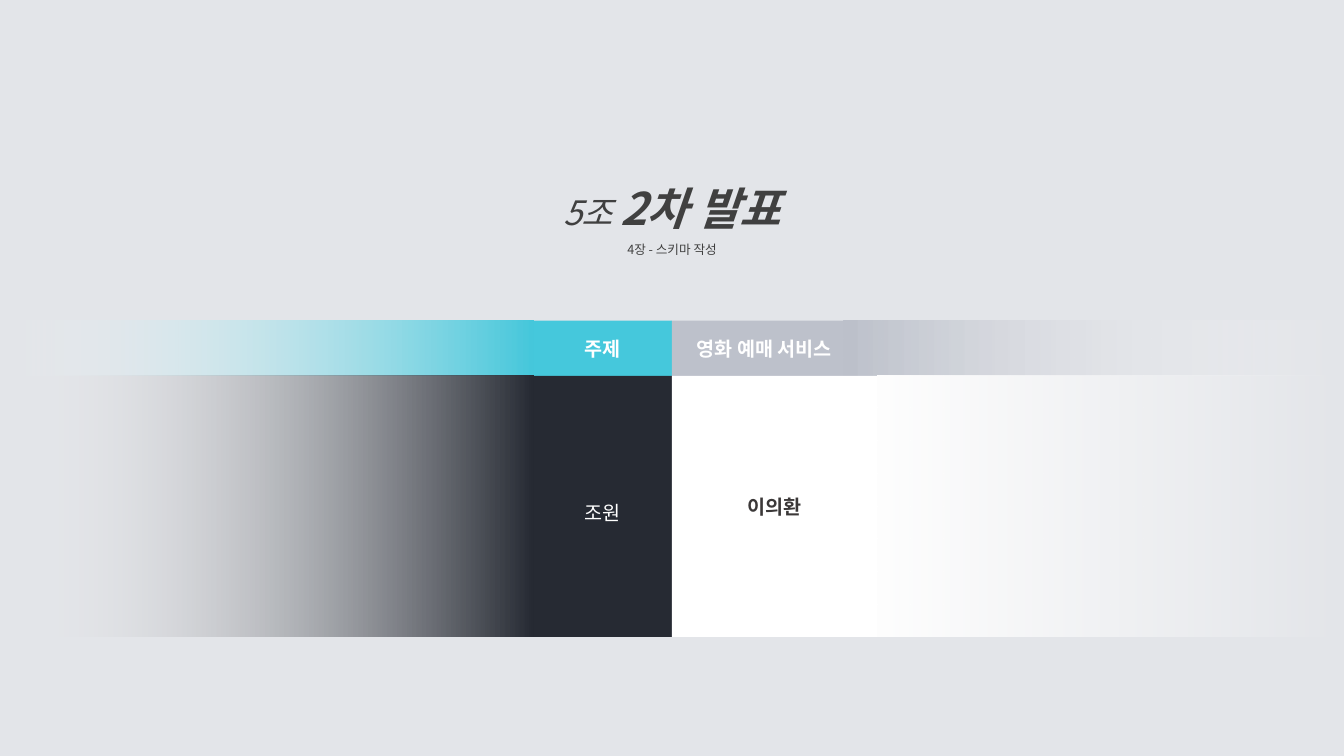
from dataclasses import dataclass

from lxml.etree import SubElement
from pptx import Presentation
from pptx.dml.color import RGBColor
from pptx.enum.shapes import MSO_SHAPE
from pptx.enum.text import MSO_ANCHOR, MSO_AUTO_SIZE, PP_ALIGN
from pptx.oxml.ns import qn
from pptx.util import Pt


@dataclass(frozen=True)
class Theme:
    """Colours, type sizes and font of the slide."""
    font: str = "Noto Sans CJK KR"
    background: str = "E3E5E9"
    heading: str = "404040"
    cyan: str = "45C8DC"
    navy: str = "262A33"
    grey: str = "BDC1CB"
    white: str = "FFFFFF"
    ink: str = "3B3838"
    group_size: int = 24
    title_size: int = 32
    subtitle_size: int = 9
    cell_size: int = 14


THEME = Theme()
PAGE_WIDTH, PAGE_HEIGHT = 960, 540
CENTRE = PAGE_WIDTH / 2
LABEL_WIDTH = 99


def style_paragraph(para, color, size=None, bold=False, italic=False, spacing=1.0):
    """Centre a paragraph and set its font."""
    para.alignment = PP_ALIGN.CENTER
    para.line_spacing = spacing
    font = para.font
    font.name = THEME.font
    font.bold, font.italic = bold, italic
    font.color.rgb = RGBColor.from_string(color)
    if size:
        font.size = Pt(size)
    SubElement(para._p.pPr.find(qn("a:defRPr")), qn("a:ea"), typeface=THEME.font)


def add_block(page, box):
    """Add a plain rectangle without line or shadow."""
    block = page.shapes.add_shape(MSO_SHAPE.RECTANGLE, *map(Pt, box))
    block.shadow.inherit = False
    block.line.fill.background()
    return block


def add_cell(page, box, fill, text, color, bold=True, spacing=1.0):
    """Add a solid block with one centred line of text."""
    cell = add_block(page, box)
    cell.fill.solid()
    cell.fill.fore_color.rgb = RGBColor.from_string(fill)
    cell.text_frame.vertical_anchor = MSO_ANCHOR.MIDDLE
    para = cell.text_frame.paragraphs[0]
    para.text = text
    style_paragraph(para, color, THEME.cell_size, bold, spacing=spacing)


def add_fade(page, box, color, angle):
    """Add a block that fades from a colour to transparent white."""
    fade = add_block(page, box)
    fade.fill.gradient()
    fade.fill.gradient_angle = angle
    stops = fade.fill.gradient_stops
    for stop, position, tint in zip(stops, (0, 1), (color, THEME.white)):
        stop.position = position
        stop.color.rgb = RGBColor.from_string(tint)
    last_color = fade._element.spPr.findall(".//" + qn("a:srgbClr"))[-1]
    SubElement(last_color, qn("a:alpha"), val="0")


def add_band(page, box, label, content, content_width, fade_start):
    """Add a label and its content, each fading out to the slide edge."""
    left, top, width, height = box
    middle = left + width / 2
    label_left = middle - LABEL_WIDTH
    add_cell(page, (label_left, top, LABEL_WIDTH, height), **label)
    add_cell(page, (middle, top, content_width, height), **content)
    add_fade(page, (fade_start, top, left + width - fade_start, height),
             content["fill"], 0)
    add_fade(page, (left, top, label_left - left, height), label["fill"], 180)


def add_heading(page, box):
    """Fill the title placeholder with the title and its subtitle."""
    title = page.shapes.title
    title.left, title.top, title.width, title.height = map(Pt, box)
    frame = title.text_frame
    frame.word_wrap = True
    frame.auto_size = MSO_AUTO_SIZE.NONE
    frame.vertical_anchor = MSO_ANCHOR.TOP
    para = frame.paragraphs[0]
    style_paragraph(para, THEME.heading, italic=True, spacing=1.5)
    for text, size, bold in (("5조 ", THEME.group_size, False),
                             ("2차 발표", THEME.title_size, True)):
        span = para.add_run()
        span.text = text
        span.font.size, span.font.bold = Pt(size), bold
    subtitle = frame.add_paragraph()
    subtitle.text = "4장 - 스키마 작성"
    style_paragraph(subtitle, THEME.heading, THEME.subtitle_size, spacing=1.5)


def build_cover(deck):
    """Build the cover slide with its heading and two bands."""
    page = deck.slides.add_slide(deck.slide_layouts[5])
    page.background.fill.solid()
    page.background.fill.fore_color.rgb = RGBColor.from_string(THEME.background)
    add_heading(page, (CENTRE - 217, 106, 434, 82))
    add_band(page, (0, 229, PAGE_WIDTH, 39.5),
             dict(fill=THEME.cyan, text="주제", color=THEME.white),
             dict(fill=THEME.grey, text="영화 예매 서비스", color=THEME.white),
             content_width=132, fade_start=602.5)
    add_band(page, (0, 268.5, PAGE_WIDTH, 186.5),
             dict(fill=THEME.navy, text="조원", color=THEME.white,
                  bold=False, spacing=1.5),
             dict(fill=THEME.white, text="이의환", color=THEME.ink),
             content_width=147, fade_start=627)


def main():
    """Create and save the deck."""
    deck = Presentation()
    deck.slide_width, deck.slide_height = Pt(PAGE_WIDTH), Pt(PAGE_HEIGHT)
    build_cover(deck)
    deck.save("out.pptx")


if __name__ == "__main__":
    main()
